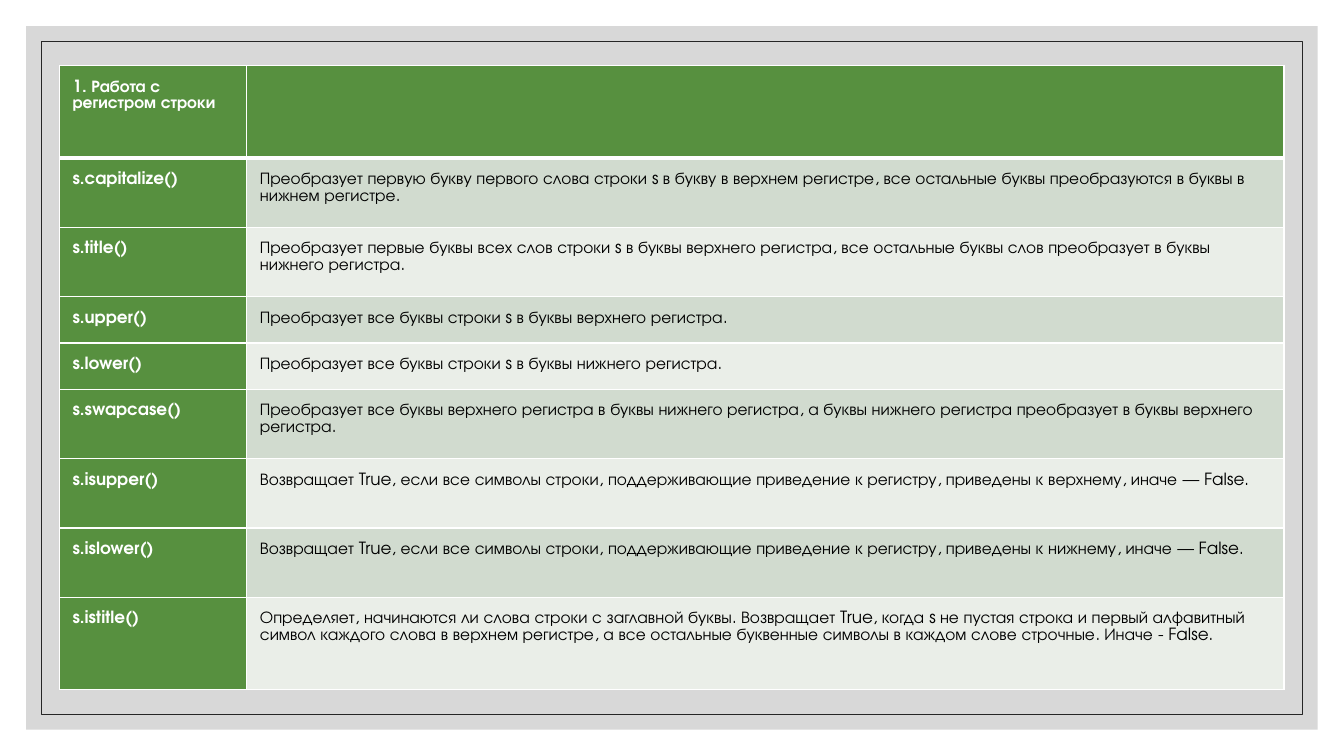
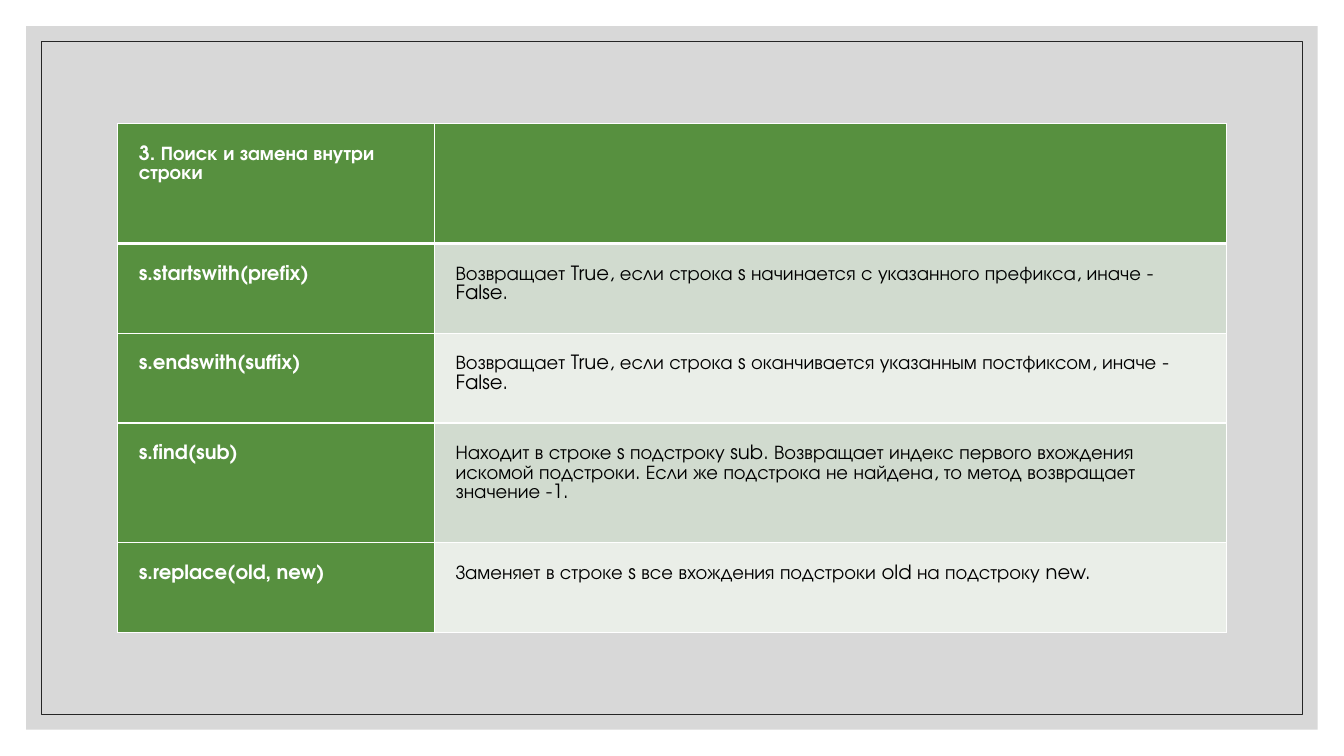
"""Build two slides of string method tables inside a shared frame."""
from lxml import etree
from pptx import Presentation
from pptx.dml.color import RGBColor
from pptx.enum.shapes import MSO_SHAPE
from pptx.oxml.ns import qn
from pptx.util import Cm, Pt

RECT = MSO_SHAPE.RECTANGLE
FONT = "TeX Gyre Adventor"
WIDE, HIGH = 33.87, 19.05
COLORS = {
    "white": "FFFFFF", "black": "000000", "gray": "BFBFBF", "edge": "262626",
    "green": "57903F", "dark": "D1DBCF", "light": "EAEEE8",
}
TABLES = [
    {
        "left": 1.5, "top": 1.65, "cols": (4.72, 26.14), "high": 15.74,
        "units": (4, 3, 3, 2, 2, 3, 3, 3, 4), "pad": 0.33, "size": 12,
        "rows": [
            ("1. Работа с регистром строки", ""),
            ("s.capitalize()", "Преобразует первую букву первого слова строки s в букву в верхнем регистре, "
             "все остальные буквы преобразуются в буквы в нижнем регистре."),
            ("s.title()", "Преобразует первые буквы всех слов строки s в буквы верхнего регистра, "
             "все остальные буквы слов преобразует в буквы нижнего регистра."),
            ("s.upper()", "Преобразует все буквы строки s в буквы верхнего регистра."),
            ("s.lower()", "Преобразует все буквы строки s в буквы нижнего регистра."),
            ("s.swapcase()", "Преобразует все буквы верхнего регистра в буквы нижнего регистра, "
             "а буквы нижнего регистра преобразует в буквы верхнего регистра."),
            ("s.isupper()", "Возвращает True, если все символы строки, поддерживающие приведение "
             "к регистру, приведены к верхнему, иначе — False."),
            ("s.islower()", "Возвращает True, если все символы строки, поддерживающие приведение "
             "к регистру, приведены к нижнему, иначе — False."),
            ("s.istitle()", "Определяет, начинаются ли слова строки с заглавной буквы. Возвращает True, "
             "когда s не пустая строка и первый алфавитный символ каждого слова в верхнем регистре, "
             "а все остальные буквенные символы в каждом слове строчные. Иначе - False."),
        ],
    },
    {
        "left": 2.97, "top": 3.12, "cols": (7.98, 19.96), "high": 12.82,
        "units": (4, 3, 3, 4, 3), "pad": 0.53, "size": 14,
        "rows": [
            ("3. Поиск и замена внутри строки", ""),
            ("s.startswith(prefix)", "Возвращает True, если строка s начинается с указанного префикса, "
             "иначе - False."),
            ("s.endswith(suffix)", "Возвращает True, если строка s оканчивается указанным постфиксом, "
             "иначе - False."),
            ("s.find(sub)", "Находит в строке s подстроку sub. Возвращает индекс первого вхождения искомой "
             "подстроки. Если же подстрока не найдена, то метод возвращает значение -1."),
            ("s.replace(old, new)", "Заменяет в строке s все вхождения подстроки old на подстроку new."),
        ],
    },
]


def rgb(name):
    return RGBColor.from_string(COLORS[name])


def add_rect(slide, gap):
    rect = slide.shapes.add_shape(
        RECT, Cm(gap), Cm(gap), Cm(WIDE - 2 * gap), Cm(HIGH - 2 * gap))
    rect.shadow.inherit = False
    return rect


def set_frame(slide):
    back = add_rect(slide, 0.66)
    back.fill.solid()
    back.fill.fore_color.rgb = rgb("gray")
    tone = back.fill._xPr.find(qn("a:solidFill"))[0]
    etree.SubElement(tone, qn("a:alpha"), val="60000")
    back.line.fill.background()
    edge = add_rect(slide, 1.04)
    edge.fill.background()
    edge.line.color.rgb = rgb("edge")
    edge.line.width = Pt(0.5)
    layout = slide.slide_layout
    for item in list(layout.placeholders):
        layout.shapes.element.remove(item.element)
    for rect in (back, edge):
        layout.shapes.element.append(rect.element)


def set_lines(cell, row):
    props = cell._tc.get_or_add_tcPr()
    for side in "LRTB":
        thick = (row, side) in ((0, "B"), (1, "T"))
        line = etree.SubElement(props, qn("a:ln" + side), w=str(Pt(3 if thick else 1)))
        fill = etree.SubElement(line, qn("a:solidFill"))
        etree.SubElement(fill, qn("a:srgbClr"), val=COLORS["white"])


def set_cell(cell, text, row, col, spec):
    head = row == 0 or col == 0
    set_lines(cell, row)
    cell.fill.solid()
    cell.fill.fore_color.rgb = rgb("green" if head else "dark" if row % 2 else "light")
    pad = Cm(spec["pad"])
    cell.margin_left = cell.margin_right = pad
    cell.margin_top = cell.margin_bottom = pad
    cell.text_frame.text = text
    para = cell.text_frame.paragraphs[0]
    para.line_spacing = 1.07
    para.space_after = Pt(8)
    for run in para.runs:
        run.font.name = FONT
        run.font.size = Pt(spec["size"])
        run.font.bold = head
        run.font.color.rgb = rgb("white" if head else "black")


def add_grid(slide, spec):
    rows, cols, units = spec["rows"], spec["cols"], spec["units"]
    table = slide.shapes.add_table(
        len(rows), len(cols), Cm(spec["left"]), Cm(spec["top"]),
        Cm(sum(cols)), Cm(spec["high"])).table
    table.horz_banding = False
    for col, wide in enumerate(cols):
        table.columns[col].width = Cm(wide)
    step = spec["high"] / sum(units)
    for row, texts in enumerate(rows):
        table.rows[row].height = Cm(step * units[row])
        for col, text in enumerate(texts):
            set_cell(table.cell(row, col), text, row, col, spec)


def main():
    deck = Presentation()
    deck.slide_width, deck.slide_height = Cm(WIDE), Cm(HIGH)
    blank = deck.slide_layouts.get_by_name("Blank")
    slides = [deck.slides.add_slide(blank) for _ in TABLES]
    set_frame(slides[0])
    for slide, spec in zip(slides, TABLES):
        add_grid(slide, spec)
    deck.save("out.pptx")


if __name__ == "__main__":
    main()
